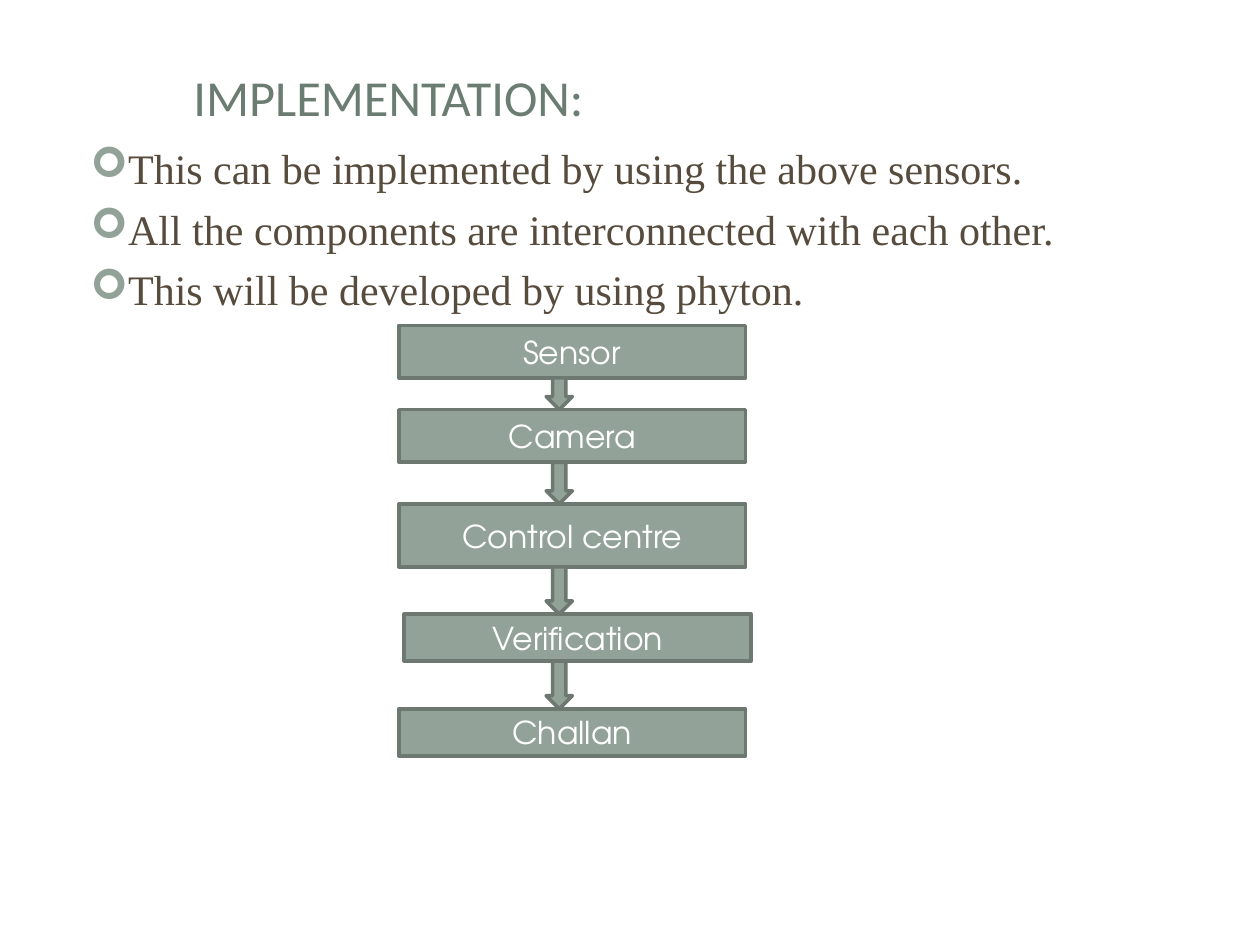
"""Build the implementation slide: title, three bullets and a flow of five steps."""
import lxml.etree
import pptx
import pptx.dml.color
import pptx.enum.shapes
import pptx.enum.text
import pptx.oxml.ns
import pptx.util

Cm = pptx.util.Cm
Pt = pptx.util.Pt
RGBColor = pptx.dml.color.RGBColor
MSO_SHAPE = pptx.enum.shapes.MSO_SHAPE
PP_ALIGN = pptx.enum.text.PP_ALIGN
MSO_ANCHOR = pptx.enum.text.MSO_ANCHOR
qn = pptx.oxml.ns.qn

GREEN = RGBColor(0x6B, 0x7D, 0x72)
BROWN = RGBColor(0x56, 0x4B, 0x3C)
SAGE = RGBColor(0x93, 0xA2, 0x99)
EDGE = RGBColor(0x6D, 0x78, 0x71)
WHITE = RGBColor(0xFF, 0xFF, 0xFF)


def write(tf, text, font, size, color, align=PP_ALIGN.CENTER,
          anchor=MSO_ANCHOR.MIDDLE, space=0, bullet=None):
    tf.word_wrap = True
    tf.vertical_anchor = anchor
    for i, line in enumerate(text.split("\n")):
        p = tf.add_paragraph() if i else tf.paragraphs[0]
        p.alignment = align
        p.space_before = Pt(space)
        r = p.add_run()
        r.text = line
        r.font.name = font
        r.font.size = Pt(size)
        r.font.color.rgb = color
        if bullet:
            pPr = p._p.get_or_add_pPr()
            pPr.set("marL", str(Cm(0.95)))
            pPr.set("indent", str(Cm(-0.64)))
            clr = lxml.etree.SubElement(pPr, qn("a:buClr"))
            lxml.etree.SubElement(clr, qn("a:srgbClr"), val=str(SAGE))
            lxml.etree.SubElement(pPr, qn("a:buFont"), typeface="Wingdings")
            lxml.etree.SubElement(pPr, qn("a:buChar"), char=bullet)


def add_block(s, kind, left, top, width, height):
    sp = s.shapes.add_shape(kind, Cm(left), Cm(top), Cm(width), Cm(height))
    sp.shadow.inherit = False
    sp.fill.solid()
    sp.fill.fore_color.rgb = SAGE
    sp.line.color.rgb = EDGE
    sp.line.width = Pt(2)
    return sp


prs = pptx.Presentation()
prs.slide_width = Cm(25.4)
prs.slide_height = Cm(19.05)
s = prs.slides.add_slide(prs.slide_layouts[6])

title = s.shapes.add_textbox(Cm(1.27), Cm(1.47), Cm(13.13), Cm(0.94))
write(title.text_frame, "IMPLEMENTATION:", "Calibri", 28.8, GREEN)

body = s.shapes.add_textbox(Cm(1.27), Cm(2.74), Cm(22.86), Cm(14.27))
write(body.text_frame,
      "This can be implemented by using the above sensors.\n"
      "All the components are interconnected with each other.\n"
      "This will be developed by using phyton.",
      "Times New Roman", 24, BROWN, align=PP_ALIGN.LEFT,
      anchor=MSO_ANCHOR.TOP, space=6, bullet="➢")

steps = [
    ("Sensor", 8.04, 6.56, 1.06),
    ("Camera", 8.04, 8.26, 1.06),
    ("Control centre", 8.04, 10.16, 1.27),
    ("Verification", 8.15, 12.38, 0.95),
    ("Challan", 8.04, 14.29, 0.95),
]
for label, left, top, height in steps:
    sp = add_block(s, MSO_SHAPE.RECTANGLE, left, top, 6.99, height)
    write(sp.text_frame, label, "TeX Gyre Adventor", 18, WHITE)

for (_, _, top, height), (_, _, next_top, _) in zip(steps, steps[1:]):
    bottom = top + height
    add_block(s, MSO_SHAPE.DOWN_ARROW, 11.01, bottom, 0.53, next_top - bottom)

prs.save("out.pptx")
